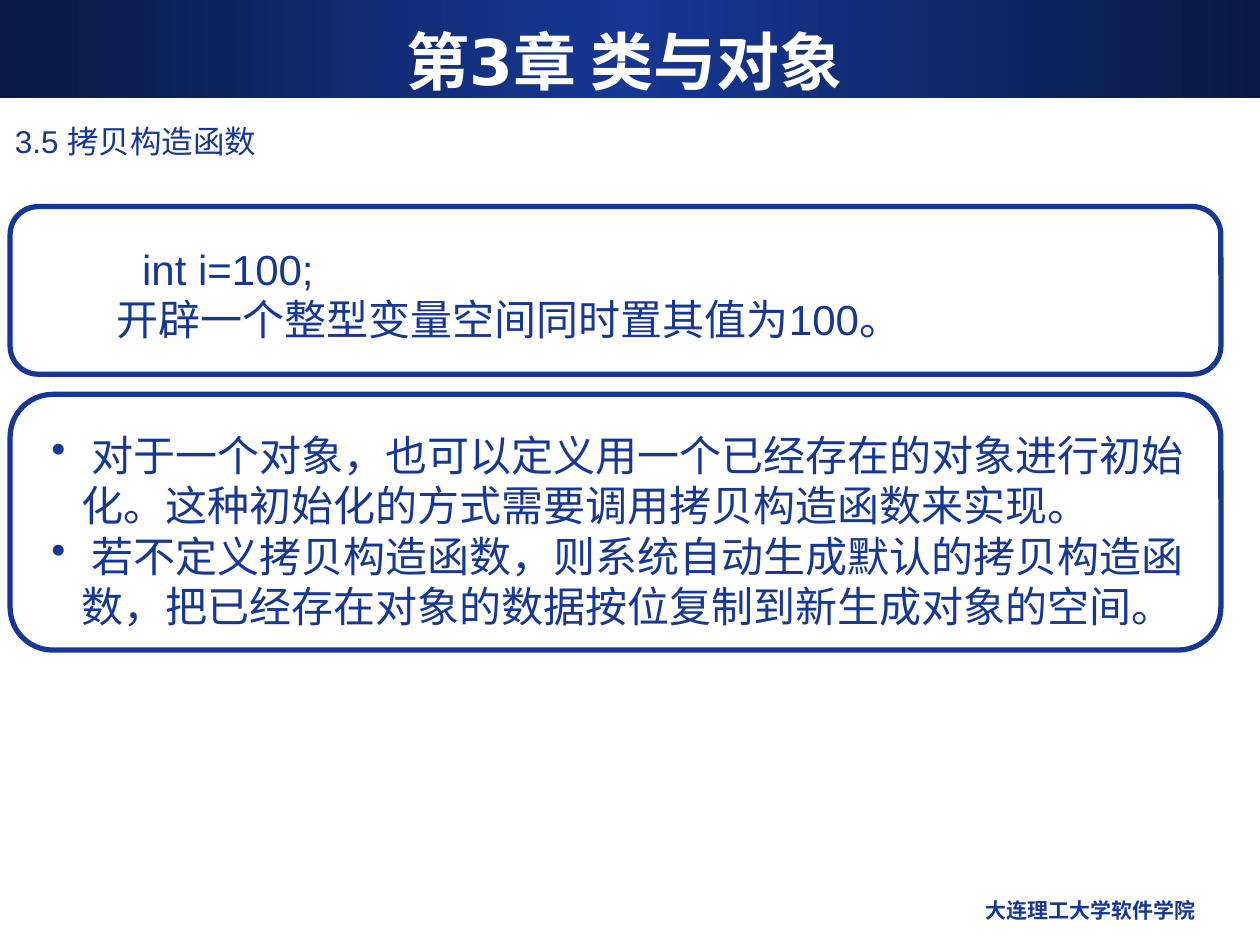
from copy import deepcopy
from dataclasses import dataclass
from lxml.etree import SubElement
from pptx import Presentation
from pptx.dml.color import RGBColor
from pptx.enum.shapes import MSO_SHAPE
from pptx.enum.text import MSO_ANCHOR, PP_ALIGN
from pptx.oxml.ns import qn
from pptx.util import Inches, Pt


@dataclass(frozen=True)
class Theme:
    navy: RGBColor = RGBColor(0x16, 0x37, 0x94)
    dark: RGBColor = RGBColor(0x0A, 0x19, 0x44)
    white: RGBColor = RGBColor(0xFF, 0xFF, 0xFF)
    sans: str = "Arial"
    bold: str = "DejaVu Sans"
    title: int = 36
    body: int = 24
    head: int = 18
    foot: int = 12
    rule: int = 3


THEME = Theme()
WIDTH, HEIGHT = Inches(10), Inches(7.5)
COLS, ROWS = 100, 75
PANEL_LEFT, PANEL_WIDTH = 0.8, 96.1
TEXT_LEFT, TEXT_WIDTH = 3.1, 93


def cols(count):
    return round(WIDTH * count / COLS)


def rows(count):
    return round(HEIGHT * count / ROWS)


def place(left, top, width, height):
    return cols(left), rows(top), cols(width), rows(height)


def band(slide):
    shape = slide.shapes.add_shape(MSO_SHAPE.RECTANGLE, *place(0, 0, COLS, 7.8))
    shape.shadow.inherit = False
    shape.line.fill.background()
    shape.fill.gradient()
    shape.fill.gradient_angle = 0
    stops = shape.fill._fill._gradFill.gsLst
    stops.insert(1, deepcopy(stops[0]))
    tones = (THEME.dark, THEME.navy, THEME.dark)
    for stop, spot, tone in zip(shape.fill.gradient_stops, (0, 0.5, 1), tones):
        stop.position = spot
        stop.color.rgb = tone


def panel(slide, top, height):
    box = place(PANEL_LEFT, top, PANEL_WIDTH, height)
    shape = slide.shapes.add_shape(MSO_SHAPE.ROUNDED_RECTANGLE, *box)
    shape.shadow.inherit = False
    shape.adjustments[0] = 0.167
    shape.fill.background()
    shape.line.color.rgb = THEME.navy
    shape.line.width = Pt(THEME.rule)


def indent(para, left, first, bullet):
    props = para._p.get_or_add_pPr()
    props.set("marL", str(cols(left)))
    props.set("indent", str(cols(first)))
    if bullet:
        SubElement(props, qn("a:buChar")).set("char", bullet)


def text(slide, box, lines, size=THEME.body, face=THEME.sans, color=THEME.navy,
         bold=False, align=PP_ALIGN.LEFT, anchor=MSO_ANCHOR.TOP,
         lefts=None, first=0, bullet=None):
    frame = slide.shapes.add_textbox(*place(*box)).text_frame
    frame.word_wrap = True
    frame.vertical_anchor = anchor
    for num, line in enumerate(lines):
        para = frame.add_paragraph() if num else frame.paragraphs[0]
        para.alignment = align
        if lefts:
            indent(para, lefts[num], first, bullet)
        run = para.add_run()
        run.text = line
        run.font.size = Pt(size)
        run.font.name = face
        run.font.bold = bold
        run.font.color.rgb = color


def main():
    deck = Presentation()
    deck.slide_width, deck.slide_height = WIDTH, HEIGHT
    slide = deck.slides.add_slide(deck.slide_layouts[6])
    band(slide)
    text(slide, (64.2, 70.7, 31.7, 3.5), ["大连理工大学软件学院"],
         size=THEME.foot, face=THEME.bold, bold=True, align=PP_ALIGN.RIGHT)
    text(slide, (0.2, 9.2, 92.5, 4.1), ["3.5 拷贝构造函数"], size=THEME.head)
    text(slide, (3.3, 1.7, 92.5, 6.2), ["第3章 类与对象"],
         size=THEME.title, face=THEME.bold, color=THEME.white, bold=True,
         align=PP_ALIGN.CENTER, anchor=MSO_ANCHOR.MIDDLE)
    panel(slide, 16.4, 13.3)
    text(slide, (TEXT_LEFT, 18.8, TEXT_WIDTH, 13),
         ["int i=100;", "开辟一个整型变量空间同时置其值为100。"], lefts=(7.2, 5.2))
    panel(slide, 31.3, 20.3)
    text(slide, (TEXT_LEFT, 33.6, TEXT_WIDTH, 17),
         [" 对于一个对象，也可以定义用一个已经存在的对象进行初始化。这种初始化的方式需要调用拷贝构造函数来实现。",
          " 若不定义拷贝构造函数，则系统自动生成默认的拷贝构造函数，把已经存在对象的数据按位复制到新生成对象的空间。"],
         lefts=(2.4, 2.4), first=-2.4, bullet="•")
    deck.save("out.pptx")


if __name__ == "__main__":
    main()
